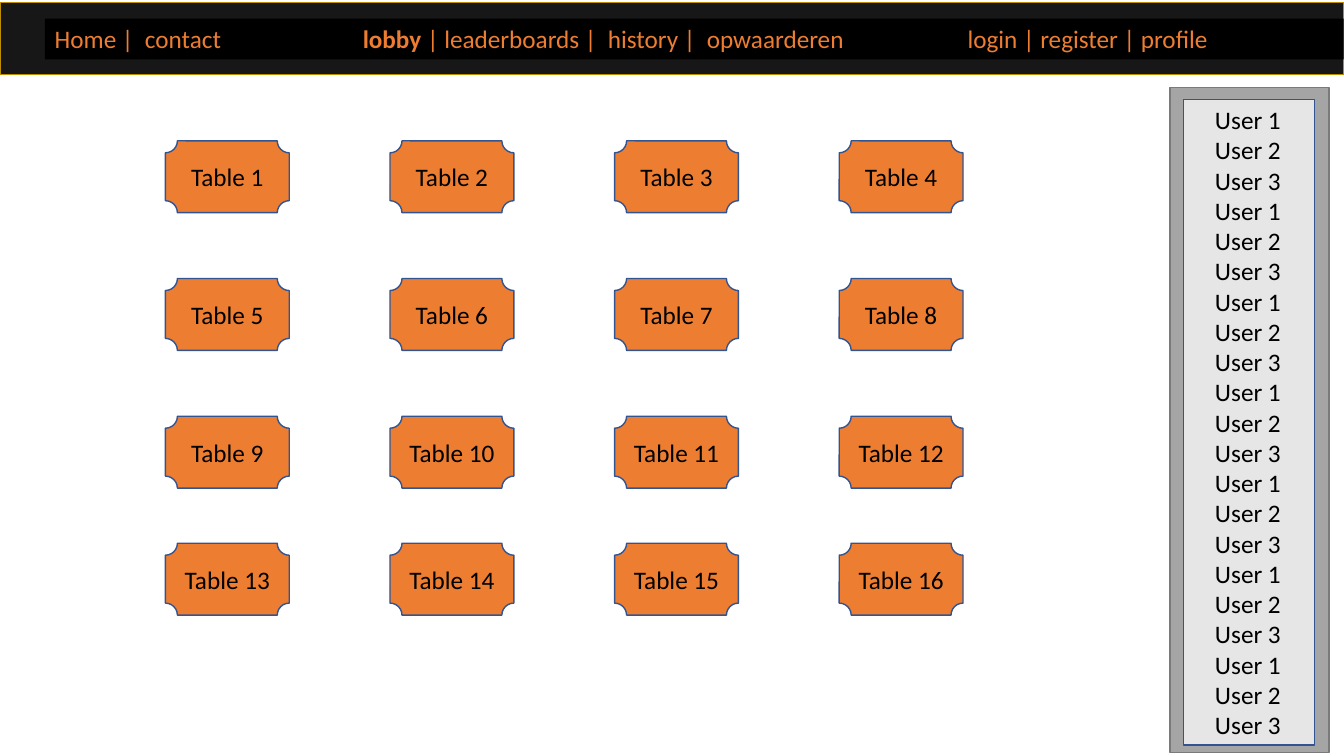
"""Build the game lobby slide: navigation bar, table grid and user list."""
import dataclasses

import lxml.etree
import pptx
import pptx.dml.color
import pptx.enum.shapes
import pptx.enum.text
import pptx.oxml.ns
import pptx.util

Cm = pptx.util.Cm
SHAPES = pptx.enum.shapes.MSO_SHAPE
ALIGN = pptx.enum.text.PP_ALIGN
ANCHOR = pptx.enum.text.MSO_ANCHOR


@dataclasses.dataclass(frozen=True)
class Theme:
    """Colours and type sizes of the slide."""
    font: str = "Calibri"
    text_size: int = 18
    line_width: int = 1
    text: str = "000000"
    accent: str = "ED7D31"
    outline: str = "325491"
    bar: str = "181717"
    bar_outline: str = "BD8E00"
    menu: str = "000000"
    frame: str = "A5A5A5"
    frame_outline: str = "7A7A7A"
    panel: str = "E7E6E6"


THEME = Theme()
MENU_RUNS = (
    ("Home |  contact\t\t", False),
    (" lobby ", True),
    ("| leaderboards |  history |  opwaarderen\t\t login | register | profile", False),
)
MENU_TAB_STOPS = (5.08, 7.62, 20.32, 22.86)
TABLE_COLUMNS = 4
TABLE_LEFT, TABLE_PITCH = 4.17, 5.66
TABLE_TOPS = (3.55, 7.02, 10.49, 13.69)
USERS = ("User 1", "User 2", "User 3") * 7


def apply_format(target, values):
    """Set every attribute named in values on the target."""
    for name, value in values.items():
        setattr(target, name, value)


def rgb(colour):
    """Turn a hex string into a colour value."""
    return pptx.dml.color.RGBColor.from_string(colour)


def add_box(slide, kind, bounds, fill, outline=None):
    """Add a filled preset shape with an optional outline."""
    shape = slide.shapes.add_shape(kind, *map(Cm, bounds))
    shape.shadow.inherit = False
    shape.fill.solid()
    shape.fill.fore_color.rgb = rgb(fill)
    if outline:
        shape.line.color.rgb = rgb(outline)
        shape.line.width = pptx.util.Pt(THEME.line_width)
    else:
        shape.line.fill.background()
    return shape


def write_run(paragraph, text, colour, bold=False):
    """Append one formatted run to a paragraph."""
    run = paragraph.add_run()
    run.text = text
    apply_format(run.font, {
        "name": THEME.font,
        "size": pptx.util.Pt(THEME.text_size),
        "bold": bold,
    })
    run.font.color.rgb = rgb(colour)


def set_tab_stops(paragraph, positions):
    """Give a paragraph left tab stops at positions in centimetres."""
    qualified = pptx.oxml.ns.qn
    properties = paragraph._p.get_or_add_pPr()
    tab_list = lxml.etree.SubElement(properties, qualified("a:tabLst"))
    for position in positions:
        lxml.etree.SubElement(tab_list, qualified("a:tab"), pos=str(Cm(position)), algn="l")


def add_navigation(slide):
    """Add the top bar with its menu line."""
    add_box(slide, SHAPES.RECTANGLE, (0, 0.07, 33.87, 1.81), THEME.bar, THEME.bar_outline)
    menu = add_box(slide, SHAPES.RECTANGLE, (1.13, 0.47, 32.73, 1.03), THEME.menu)
    apply_format(menu.text_frame, {"word_wrap": True, "vertical_anchor": ANCHOR.TOP})
    paragraph = menu.text_frame.paragraphs[0]
    paragraph.alignment = ALIGN.LEFT
    set_tab_stops(paragraph, MENU_TAB_STOPS)
    for text, bold in MENU_RUNS:
        write_run(paragraph, text, THEME.accent, bold)


def add_user_list(slide):
    """Add the framed side panel listing the users."""
    add_box(slide, SHAPES.RECTANGLE, (29.49, 2.2, 4, 16.77), THEME.frame, THEME.frame_outline)
    add_box(slide, SHAPES.RECTANGLE, (29.83, 2.51, 3.3, 16.26), THEME.panel, THEME.outline)
    users = slide.shapes.add_textbox(*map(Cm, (30.37, 2.51, 3.3, 17.2)))
    users.text_frame.word_wrap = True
    for index, user in enumerate(USERS):
        frame = users.text_frame
        paragraph = frame.add_paragraph() if index else frame.paragraphs[0]
        write_run(paragraph, user, THEME.text)


def add_game_table(slide, number):
    """Add one numbered table plaque at its place in the grid."""
    row, column = divmod(number - 1, TABLE_COLUMNS)
    bounds = (TABLE_LEFT + column * TABLE_PITCH, TABLE_TOPS[row], 3.12, 1.81)
    plaque = add_box(slide, SHAPES.PLAQUE, bounds, THEME.accent, THEME.outline)
    apply_format(plaque.text_frame, {"word_wrap": True, "vertical_anchor": ANCHOR.MIDDLE})
    paragraph = plaque.text_frame.paragraphs[0]
    paragraph.alignment = ALIGN.CENTER
    write_run(paragraph, f"Table {number}", THEME.text)


def main():
    """Create the presentation and save it."""
    presentation = pptx.Presentation()
    apply_format(presentation, {"slide_width": Cm(33.87), "slide_height": Cm(19.05)})
    slide = presentation.slides.add_slide(presentation.slide_layouts[6])
    add_navigation(slide)
    add_user_list(slide)
    for number in range(1, TABLE_COLUMNS * len(TABLE_TOPS) + 1):
        add_game_table(slide, number)
    presentation.save("out.pptx")


main()
